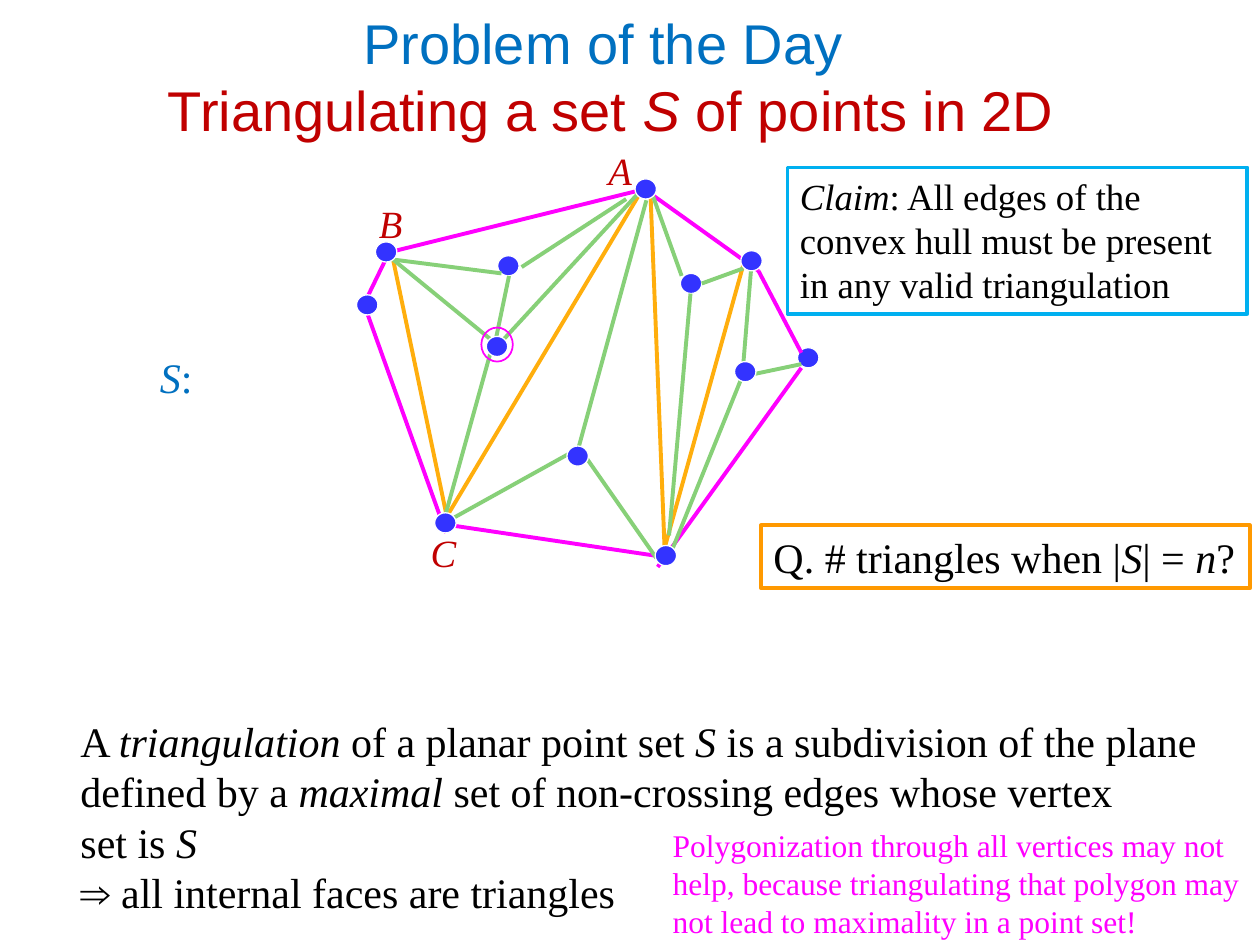
"""Build the slide on triangulating a set of points in 2D."""
from pptx import Presentation
from pptx.dml.color import RGBColor
from pptx.enum.shapes import MSO_CONNECTOR as CONN, MSO_SHAPE as SHAPE
from pptx.enum.text import MSO_ANCHOR as ANCHOR, PP_ALIGN as ALIGN
from pptx.oxml.ns import qn
from pptx.util import Inches, Pt
from lxml.etree import SubElement

THEME = {
    "sans": "Arial", "serif": "Times New Roman",
    "black": "000000", "white": "FFFFFF", "blue": "0070C0", "red": "C00000",
    "dot": "3333FF", "hull": "FF00FF", "diagonal": "FFAE0D", "inner": "87D078",
    "question": "FF9900", "claim": "00B0F0",
    "title_pt": 32, "body_pt": 24, "label_pt": 22, "claim_pt": 21, "note_pt": 18,
    "edge_pt": 2.25, "ring_pt": 1, "dot_line_pt": 0.75,
}
DOT_W, DOT_H = 0.17, 0.16


def rgb(name):
    return RGBColor.from_string(THEME[name])


def add_text(box, lines, size, color="black", font="serif", align=ALIGN.LEFT):
    """Add a text box; asterisks in a line switch italics on and off."""
    s = prs_slide.shapes.add_textbox(*map(Inches, box))
    tf = s.text_frame
    tf.word_wrap = True
    for i, line in enumerate(lines):
        p = tf.paragraphs[0] if i == 0 else tf.add_paragraph()
        p.alignment = align
        for j, part in enumerate(line.split("*")):
            if not part:
                continue
            r = p.add_run()
            r.text = part
            fmt = {"name": THEME[font], "size": Pt(THEME[size]), "italic": j % 2 == 1}
            for key, value in fmt.items():
                setattr(r.font, key, value)
            r.font.color.rgb = rgb(color)
    return s


prs = Presentation()
prs.slide_width, prs.slide_height = Inches(10), Inches(7.5)
prs_slide = prs.slides.add_slide(prs.slide_layouts[6])
shapes = prs_slide.shapes

title = add_text((0.32, 0.2, 9.06, 0.8), ["Problem of the Day ", "Triangulating a set *S* of points in 2D"],
                 "title_pt", "red", "sans", ALIGN.CENTER)
title.text_frame.vertical_anchor = ANCHOR.MIDDLE
title.text_frame.paragraphs[0].runs[0].font.color.rgb = rgb("blue")

add_text((0.54, 5.63, 9.89, 1.72), [
    "A *triangulation* of a planar point set *S* is a subdivision of the plane "
    "defined by a *maximal* set of non-crossing edges whose vertex",
    "set is *S*",
    "⇒ all internal faces are triangles",
], "body_pt")

edges = {
    "hull": [
        (3.08, 2.02, 2.9, 2.39), (5.04, 1.52, 3.14, 1.99), (6.02, 2.15, 5.14, 1.52),
        (6.36, 2.8, 6.02, 2.15), (6.36, 2.92, 5.22, 4.5), (5.2, 4.41, 3.45, 4.15),
        (2.92, 2.5, 3.54, 4.23),
    ],
    "diagonal": [
        (5.07, 1.55, 3.48, 4.21), (3.12, 2.06, 3.54, 4.07),
        (5.9, 2.1, 5.28, 4.33), (5.16, 1.47, 5.28, 4.49),
    ],
    "inner": [
        (5.07, 1.53, 3.89, 2.81), (3.12, 2.06, 3.89, 2.69), (3.89, 2.81, 3.54, 4.07),
        (5.13, 1.59, 4.59, 3.56), (3.6, 4.11, 4.59, 3.56), (4.63, 3.6, 5.21, 4.43),
        (5.9, 2.13, 5.57, 2.25), (5.18, 1.55, 5.41, 2.19), (5.48, 2.33, 5.31, 4.25),
        (6.36, 2.89, 5.98, 2.97), (5.96, 2.15, 5.9, 2.88), (5.91, 2.94, 5.34, 4.35),
        (4.97, 1.58, 4.14, 2.12), (3.12, 2.06, 3.98, 2.17), (4.04, 2.19, 3.94, 2.67),
    ],
}
dots_below = [(5.4, 2.17), (6.33, 2.76), (3.95, 2.03)]
dots_above = [
    (5.2, 4.33), (3.45, 4.07), (2.83, 2.34), (2.98, 1.92), (5.83, 2.87),
    (4.5, 3.54), (5.88, 1.99), (3.86, 2.67), (5.04, 1.42),
]

for dots, layer in ((dots_below, edges), (dots_above, {})):
    for x, y in dots:
        s = shapes.add_shape(SHAPE.OVAL, *map(Inches, (x, y, DOT_W, DOT_H)))
        s.shadow.inherit = False
        s.fill.solid()
        s.fill.fore_color.rgb = rgb("dot")
        s.line.color.rgb = rgb("white")
        s.line.width = Pt(THEME["dot_line_pt"])
    for color, segments in layer.items():
        for segment in segments:
            edge = shapes.add_connector(CONN.STRAIGHT, *map(Inches, segment))
            edge.line.color.rgb = rgb(color)
            edge.line.width = Pt(THEME["edge_pt"])
            SubElement(edge._element.spPr, qn("a:effectLst"))

ring = shapes.add_shape(SHAPE.OVAL, *map(Inches, (3.82, 2.6, 0.25, 0.27)))
ring.shadow.inherit = False
ring.fill.background()
ring.line.color.rgb = rgb("hull")
ring.line.width = Pt(THEME["ring_pt"])

add_text((1.17, 2.74, 0.67, 0.5), ["*S*:"], "body_pt", "blue")
for name, x, y in (("A", 4.73, 1.12), ("B", 2.91, 1.54), ("C", 3.32, 4.15)):
    add_text((x, y, 0.5, 0.47), [f"*{name}*"], "label_pt", "red")

question = add_text((6.04, 4.17, 3.88, 0.5), ["Q. # triangles when |*S*| = *n*?"], "body_pt")
claim = add_text((6.25, 1.33, 3.65, 1.16), [
    "*Claim*: All edges of the convex hull must be present in any valid triangulation",
], "claim_pt")
for s, color in ((question, "question"), (claim, "claim")):
    s.line.color.rgb = rgb(color)
    s.line.width = Pt(THEME["edge_pt"])

add_text((5.24, 6.51, 4.78, 1.01), [
    "Polygonization through all vertices may not help, because triangulating "
    "that polygon may not lead to maximality in a point set!",
], "note_pt", "hull")

prs.save("out.pptx")
